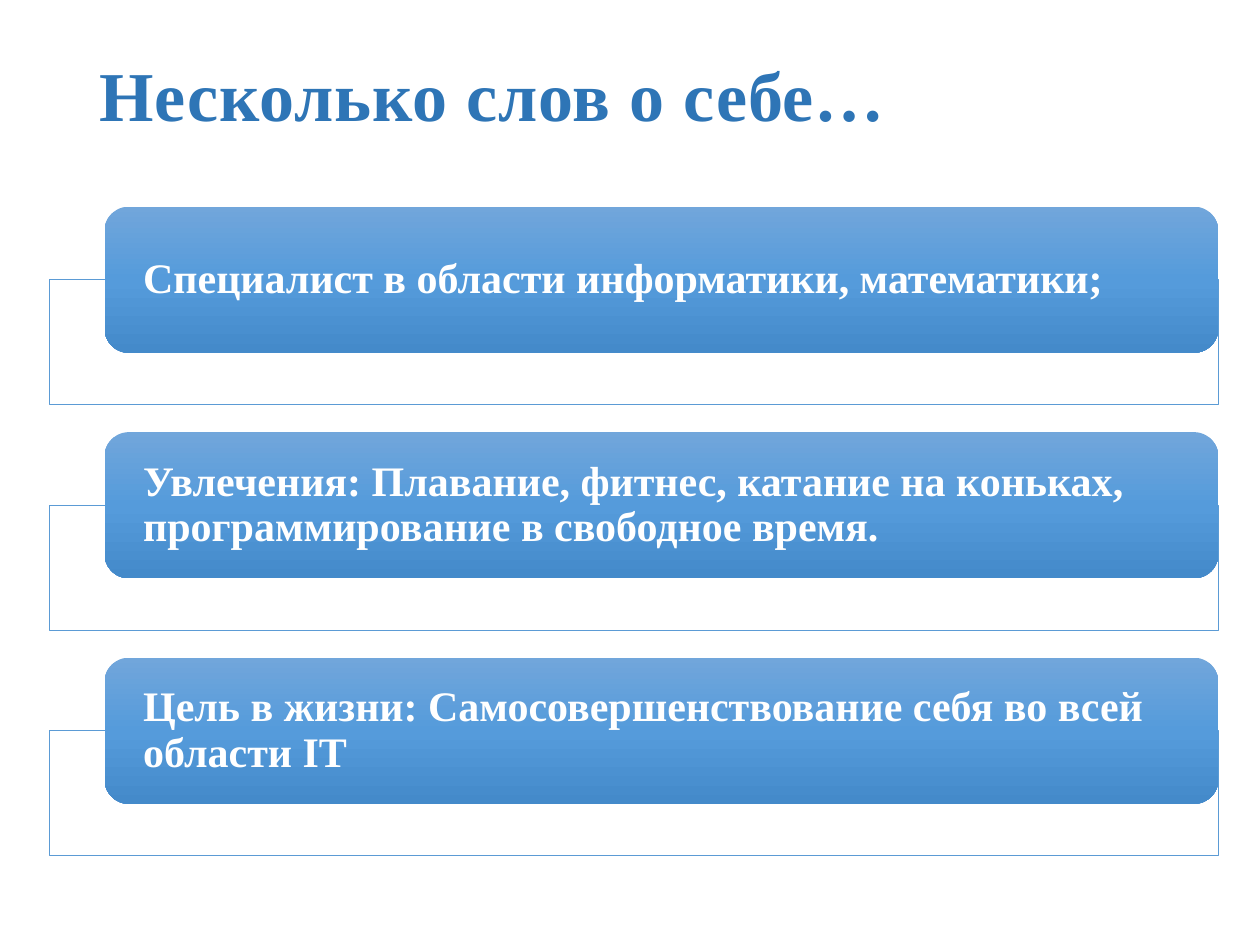
"""Build a slide introducing the speaker with three framed statements."""
from copy import deepcopy
from dataclasses import dataclass

from lxml.etree import SubElement
from pptx import Presentation
from pptx.dml.color import RGBColor
from pptx.enum.shapes import MSO_SHAPE
from pptx.enum.text import MSO_ANCHOR, PP_ALIGN
from pptx.oxml.ns import qn
from pptx.shapes.autoshape import Shape
from pptx.slide import Slide
from pptx.util import Inches, Pt

FONT_NAME = "Times New Roman"
WHITE = RGBColor(0xFF, 0xFF, 0xFF)
TITLE_BLUE = RGBColor(0x2E, 0x75, 0xB6)
FRAME_BLUE = RGBColor(0x5B, 0x9B, 0xD5)
GRADIENT = (
    (0.0, RGBColor(0x71, 0xA6, 0xDB)),
    (0.5, RGBColor(0x55, 0x9B, 0xDB)),
    (1.0, RGBColor(0x44, 0x8A, 0xCA)),
)
FIRST_TOP = 1.64
PITCH = 1.79
FRAME_DROP = 0.58


@dataclass(frozen=True)
class Statement:
    text: str
    top: float


def write_text(box: Shape, text: str, size: int, color: RGBColor) -> None:
    frame = box.text_frame
    frame.word_wrap = True
    frame.vertical_anchor = MSO_ANCHOR.MIDDLE
    para = frame.paragraphs[0]
    para.text = text
    para.alignment = PP_ALIGN.LEFT
    para.line_spacing = 0.9
    para.font.name = FONT_NAME
    para.font.size = Pt(size)
    para.font.bold = True
    para.font.color.rgb = color


def add_title(page: Slide, text: str) -> None:
    box = page.shapes.add_textbox(Inches(0.69), Inches(0), Inches(8.69), Inches(1.57))
    write_text(box, text, 40, TITLE_BLUE)
    span = box.text_frame.paragraphs[0].runs[0]
    span._r.get_or_add_rPr().set("spc", "50")


def add_frame(page: Slide, top: float) -> None:
    frame = page.shapes.add_shape(
        MSO_SHAPE.RECTANGLE, Inches(0.39), Inches(top), Inches(9.28), Inches(0.99)
    )
    frame.shadow.inherit = False
    frame.fill.solid()
    frame.fill.fore_color.rgb = WHITE
    color = frame._element.spPr.find(qn("a:solidFill"))[0]
    SubElement(color, qn("a:alpha")).set("val", "90000")
    frame.line.color.rgb = FRAME_BLUE
    frame.line.width = Pt(0.5)


def fill_gradient(shape: Shape) -> None:
    shape.fill.gradient()
    shape.fill.gradient_angle = 270
    stop_list = shape._element.spPr.find(qn("a:gradFill")).find(qn("a:gsLst"))
    stop_list.append(deepcopy(stop_list[-1]))
    for stop, (position, color) in zip(shape.fill.gradient_stops, GRADIENT):
        stop.position = position
        stop.color.rgb = color


def add_statement(page: Slide, statement: Statement) -> None:
    add_frame(page, statement.top + FRAME_DROP)
    panel = page.shapes.add_shape(
        MSO_SHAPE.ROUNDED_RECTANGLE,
        Inches(0.83), Inches(statement.top), Inches(8.84), Inches(1.16),
    )
    panel.shadow.inherit = False
    panel.line.fill.background()
    fill_gradient(panel)
    write_text(panel, statement.text, 24, WHITE)
    frame = panel.text_frame
    frame.margin_left = frame.margin_right = Inches(0.25)
    frame.margin_top = frame.margin_bottom = Inches(0)


def main() -> None:
    deck = Presentation()
    deck.slide_width = Inches(10)
    deck.slide_height = Inches(7.5)
    page = deck.slides.add_slide(deck.slide_layouts[6])
    add_title(page, "Несколько слов о себе…")
    texts = (
        "Специалист в области информатики, математики;",
        "Увлечения: Плавание, фитнес, катание на коньках, "
        "программирование в свободное время.",
        "Цель в жизни: Самосовершенствование себя во всей области IT",
    )
    for index, text in enumerate(texts):
        add_statement(page, Statement(text, FIRST_TOP + index * PITCH))
    deck.save("out.pptx")


main()
